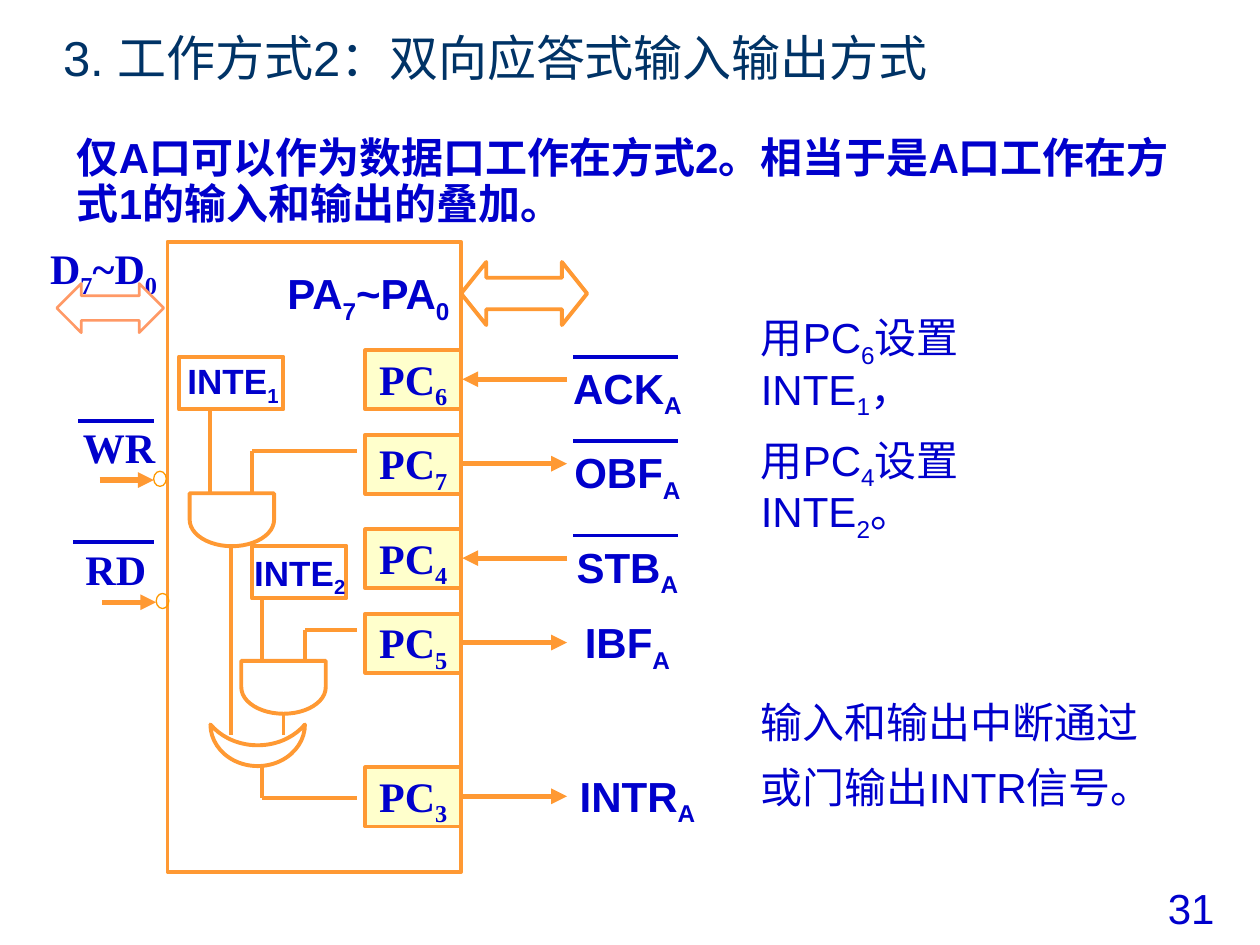
from dataclasses import dataclass

from lxml import etree
from pptx import Presentation
from pptx.dml.color import RGBColor
from pptx.enum import shapes, text
from pptx.oxml import ns
from pptx.util import Inches, Pt


@dataclass(frozen=True)
class Theme:
    title: str = "003366"
    ink: str = "0000CC"
    wire: str = "FF9933"
    bubble: str = "FF9900"
    bus: str = "FF9966"
    port: str = "FFFFCC"
    white: str = "FFFFFF"
    sans: str = "Arial"
    serif: str = "Times New Roman"
    title_size: int = 28
    body_size: int = 24
    small_size: int = 20
    thin: float = 2.25
    thick: float = 3
    spacing: float = 0.9


class Diagram:
    def __init__(self, slide, theme):
        self.slide = slide
        self.theme = theme

    def fill_text(self, frame, paragraphs, size=None, font=None, color=None, bold=True,
                  align=text.PP_ALIGN.CENTER, anchor=text.MSO_ANCHOR.MIDDLE, wrap=False):
        frame.word_wrap = wrap
        frame.auto_size = text.MSO_AUTO_SIZE.NONE
        frame.vertical_anchor = anchor
        for index, content in enumerate(paragraphs):
            paragraph = frame.add_paragraph() if index else frame.paragraphs[0]
            paragraph.alignment = align
            paragraph.line_spacing = self.theme.spacing
            paragraph.space_before = Pt(9 if index else 0)
            paragraph.space_after = Pt(2 if len(paragraphs) > 1 else 0)
            first, *rest = content.split("_")
            pieces = [(first, False)]
            for part in rest:
                pieces += [(part[0], True), (part[1:], False)]
            for piece, subscript in pieces:
                if piece:
                    run = paragraph.add_run()
                    run.text = piece
                    run.font.name = font or self.theme.sans
                    run.font.size = Pt(size or self.theme.body_size)
                    run.font.bold = bold
                    run.font.color.rgb = RGBColor.from_string(color or self.theme.ink)
                    if subscript:
                        run.font._element.set("baseline", "-25000")

    def place(self, shape, left, top, width, height):
        shape.left, shape.top = Inches(left), Inches(top)
        shape.width, shape.height = Inches(width), Inches(height)

    def placeholder(self, shape, box, content, **style):
        self.place(shape, *box)
        properties = shape.text_frame.paragraphs[0]._p.get_or_add_pPr()
        properties.set("marL", "0")
        properties.set("indent", "0")
        etree.SubElement(properties, ns.qn("a:buNone"))
        self.fill_text(shape.text_frame, [content], align=text.PP_ALIGN.LEFT,
                       anchor=text.MSO_ANCHOR.BOTTOM, wrap=True, **style)

    def label(self, left, top, width, height, *paragraphs, **style):
        box = self.slide.shapes.add_textbox(*map(Inches, (left, top, width, height)))
        self.fill_text(box.text_frame, paragraphs, **style)

    def shape(self, kind, left, top, width, height, fill=None, line=None,
              weight=None, rotation=0, adjustments=()):
        shape = self.slide.shapes.add_shape(kind, *map(Inches, (left, top, width, height)))
        shape.shadow.inherit = False
        shape.rotation = rotation
        for index, value in enumerate(adjustments):
            shape.adjustments[index] = value
        if fill:
            shape.fill.solid()
            shape.fill.fore_color.rgb = RGBColor.from_string(fill)
        else:
            shape.fill.background()
        shape.line.color.rgb = RGBColor.from_string(line or self.theme.wire)
        shape.line.width = Pt(weight or self.theme.thin)
        return shape

    def line(self, start, end, color=None, arrow=False):
        connector = self.slide.shapes.add_connector(
            shapes.MSO_CONNECTOR.STRAIGHT, *map(Inches, (*start, *end)))
        connector.line.color.rgb = RGBColor.from_string(color or self.theme.wire)
        connector.line.width = Pt(self.theme.thick if arrow else self.theme.thin)
        if arrow:
            etree.SubElement(connector.line._get_or_add_ln(), ns.qn("a:tailEnd"), type="triangle")
        etree.SubElement(connector._element.spPr, ns.qn("a:effectLst"))

    def wires(self, *routes):
        for route in routes:
            for start, end in zip(route, route[1:]):
                self.line(start, end)

    def port(self, top, name, signal, inward, barred, center=4.98):
        box = self.shape(shapes.MSO_SHAPE.RECTANGLE, 2.9, top, 0.76, 0.47, self.theme.port)
        self.fill_text(box.text_frame, [name], font=self.theme.serif)
        ends = [(3.67, top + 0.23), (4.5, top + 0.23)]
        self.line(*(reversed(ends) if inward else ends), arrow=True)
        self.label(center - 0.55, top + (0.07 if barred else 0), 1.1, 0.47, signal)
        if barred:
            self.line((4.55, top + 0.05), (5.38, top + 0.05), self.theme.ink)

    def strobe(self, left, top, name, bar_left, bar_top):
        self.shape(shapes.MSO_SHAPE.OVAL, left + 0.43, top - 0.07, 0.1, 0.12,
                   line=self.theme.bubble, weight=0.75)
        self.line((left, top), (left + 0.43, top), arrow=True)
        self.label(left - 0.23, top - 0.47, 0.93, 0.47, name, font=self.theme.serif,
                   align=text.PP_ALIGN.LEFT, anchor=text.MSO_ANCHOR.TOP)
        self.line((bar_left, bar_top), (1.22, bar_top), self.theme.ink)

    def enable(self, left, top, width, name, center, text_top):
        self.shape(shapes.MSO_SHAPE.RECTANGLE, left, top, width, 0.42)
        self.label(center - 0.47, text_top, 0.94, 0.4, name, size=self.theme.small_size)


def main():
    theme = Theme()
    presentation = Presentation()
    presentation.slide_width, presentation.slide_height = Inches(10), Inches(7.5)
    slide = presentation.slides.add_slide(presentation.slide_layouts[1])
    diagram = Diagram(slide, theme)
    kinds = shapes.MSO_SHAPE

    diagram.placeholder(slide.shapes.title, (0.4, 0.21, 8.69, 0.53),
                        "3. 工作方式2：双向应答式输入输出方式",
                        size=theme.title_size, color=theme.title, bold=False)
    diagram.placeholder(slide.placeholders[1], (0.51, 0.84, 9.17, 1.02),
                        "仅A口可以作为数据口工作在方式2。相当于是A口工作在方式1的输入和输出的叠加。")

    diagram.shape(kinds.RECTANGLE, 1.33, 1.92, 2.33, 5, theme.white)
    diagram.label(2.16, 2.1, 1.53, 0.47, "PA_7~PA_0")
    diagram.shape(kinds.LEFT_RIGHT_ARROW, 3.66, 2.08, 1, 0.5, adjustments=(0.5, 0.4))

    diagram.port(2.78, "PC_6", "ACK_A", inward=True, barred=True)
    diagram.port(3.45, "PC_7", "OBF_A", inward=False, barred=True)
    diagram.port(4.2, "PC_4", "STB_A", inward=True, barred=True)
    diagram.port(4.87, "PC_5", "IBF_A", inward=False, barred=False)
    diagram.port(6.09, "PC_3", "INTR_A", inward=False, barred=False, center=5.06)

    diagram.enable(1.42, 2.83, 0.83, "INTE_1", 1.85, 2.83)
    diagram.enable(2, 4.33, 0.75, "INTE_2", 2.38, 4.35)
    for left, top in ((1.63, 3.79), (2.04, 5.12)):
        diagram.shape(kinds.FLOWCHART_DELAY, left, top, 0.42, 0.67, rotation=90)
    diagram.shape(kinds.MOON, 1.88, 5.54, 0.33, 0.75, rotation=270, adjustments=(0.5,))
    diagram.wires(
        [(1.67, 3.25), (1.67, 3.92)],
        [(2.83, 3.58), (2, 3.58), (2, 3.92)],
        [(1.83, 4.33), (1.83, 5.83)],
        [(2.08, 4.75), (2.08, 5.25)],
        [(2.83, 5), (2.42, 5), (2.42, 5.25)],
        [(2.25, 5.67), (2.25, 5.83)],
        [(2.08, 6.08), (2.08, 6.33), (2.83, 6.33)],
    )

    diagram.strobe(0.79, 3.81, "WR", 0.62, 3.34)
    diagram.strobe(0.81, 4.78, "RD", 0.58, 4.3)
    diagram.label(0.3, 1.88, 1.2, 0.47, "D_7~D_0", font=theme.serif,
                  align=text.PP_ALIGN.LEFT, anchor=text.MSO_ANCHOR.TOP)
    diagram.shape(kinds.LEFT_RIGHT_ARROW, 0.45, 2.25, 0.85, 0.39,
                  line=theme.bus, weight=1.5, adjustments=(0.5, 0.5))

    remarks = dict(bold=False, align=text.PP_ALIGN.LEFT, wrap=True)
    diagram.label(5.94, 2.84, 2.5, 1.07, "用PC_6设置INTE_1，", "用PC_4设置INTE_2。", **remarks)
    diagram.label(5.94, 5.46, 3.6, 1.1, "输入和输出中断通过", "或门输出INTR信号。", **remarks)
    diagram.label(9.02, 7, 0.87, 0.46, "31", bold=False, anchor=text.MSO_ANCHOR.TOP)

    presentation.save("out.pptx")


if __name__ == "__main__":
    main()
